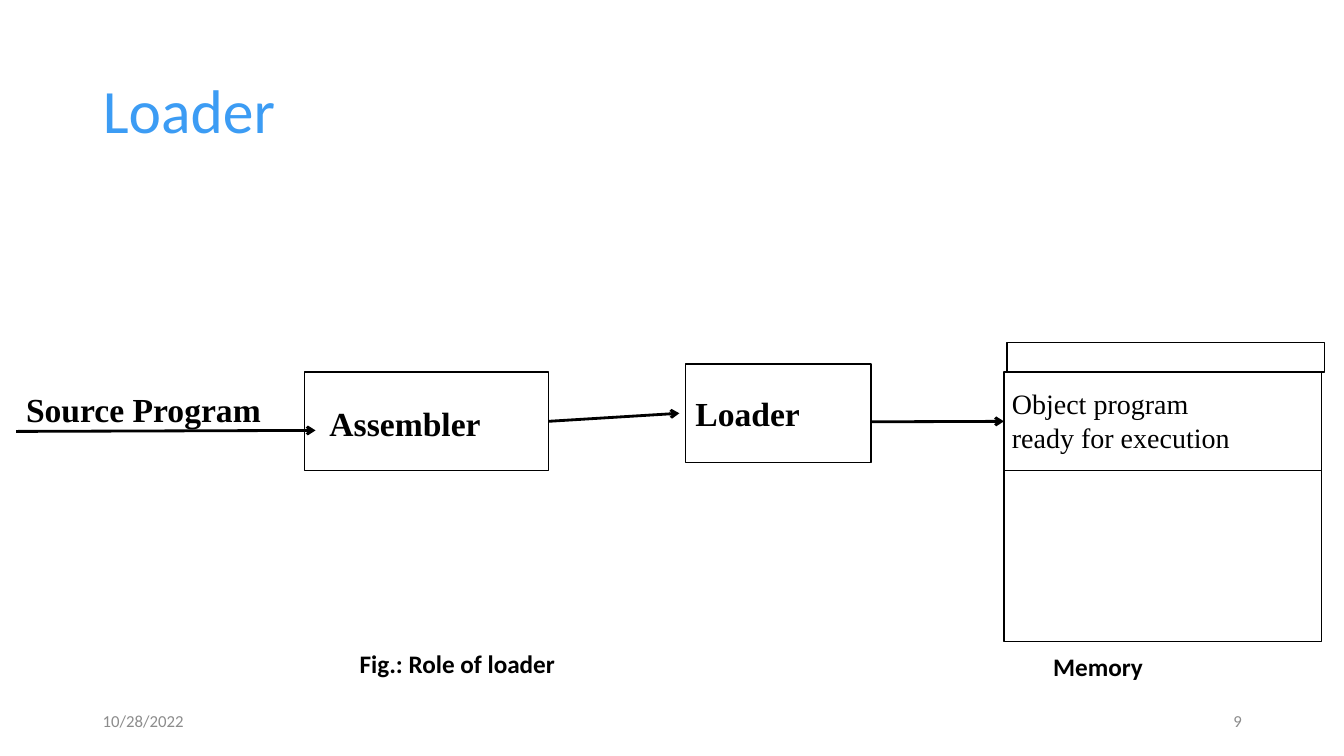
import pptx
import pptx.util
import pptx.dml.color
import pptx.enum.shapes
import pptx.enum.text
import pptx.oxml
import pptx.oxml.ns

SLIDE_WIDTH = pptx.util.Inches(13.333)
SLIDE_HEIGHT = pptx.util.Inches(7.5)

BLACK = pptx.dml.color.RGBColor(0x00, 0x00, 0x00)
BLUE = pptx.dml.color.RGBColor(0x3C, 0x9C, 0xF4)
GRAY = pptx.dml.color.RGBColor(0x8C, 0x8C, 0x8C)

TITLE = {"name": "Calibri", "size": pptx.util.Pt(44), "bold": False}
STAGE = {"name": "Times New Roman", "size": pptx.util.Pt(24), "bold": True}
CONTENT = {"name": "Times New Roman", "size": pptx.util.Pt(20), "bold": False}
CAPTION = {"name": "Calibri", "size": pptx.util.Pt(18), "bold": True}
FOOTER = {"name": "Calibri", "size": pptx.util.Pt(12), "bold": False}

LEFT = pptx.enum.text.PP_ALIGN.LEFT
RIGHT = pptx.enum.text.PP_ALIGN.RIGHT
TOP = pptx.enum.text.MSO_ANCHOR.TOP
MIDDLE = pptx.enum.text.MSO_ANCHOR.MIDDLE

# Shared positions, in percent of the slide's width or height
BOX_HEIGHT = 13.07
ASSEMBLER_TOP = 49.2
ASSEMBLER_MIDDLE = ASSEMBLER_TOP + BOX_HEIGHT / 2
LOADER_LEFT, LOADER_TOP, LOADER_WIDTH = 51, 48.13, 13.8
MEMORY_LEFT, MEMORY_WIDTH = 74.7, 23.62
FOOTER_TOP, FOOTER_WIDTH, FOOTER_HEIGHT = 92.67, 22.5, 5.33


def across(percent):
    return round(SLIDE_WIDTH * percent / 100)


def down(percent):
    return round(SLIDE_HEIGHT * percent / 100)


def area(left, top, width, height):
    """Turn percentages of the slide into lengths."""
    return across(left), down(top), across(width), down(height)


def set_values(target, values):
    for name, value in values.items():
        setattr(target, name, value)


def write(shape, lines, font_format, color=BLACK, alignment=LEFT, anchor=TOP):
    """Fill a shape with one formatted paragraph per line."""
    frame = shape.text_frame
    set_values(frame, {
        "word_wrap": True,
        "auto_size": pptx.enum.text.MSO_AUTO_SIZE.NONE,
        "vertical_anchor": anchor,
        "text": "\n".join(lines),
    })
    for paragraph in frame.paragraphs:
        paragraph.alignment = alignment
        set_values(paragraph.font, font_format)
        paragraph.font.color.rgb = color


def add_title(slide, text):
    title = slide.shapes.title
    position = area(6.9, 5.33, 86.25, 19.33)
    set_values(title, dict(zip(("left", "top", "width", "height"), position)))
    write(title, [text], TITLE, BLUE, anchor=MIDDLE)
    title.text_frame.paragraphs[0].line_spacing = 0.9


def add_label(slide, position, lines, font_format, **options):
    write(slide.shapes.add_textbox(*area(*position)), lines, font_format, **options)


def add_box(slide, *position):
    box = slide.shapes.add_shape(
        pptx.enum.shapes.MSO_SHAPE.RECTANGLE, *area(*position))
    box.shadow.inherit = False
    box.fill.background()
    box.line.color.rgb = BLACK
    box.line.width = pptx.util.Pt(1)
    return box


def add_arrow(slide, start, end):
    arrow = slide.shapes.add_connector(
        pptx.enum.shapes.MSO_CONNECTOR.STRAIGHT,
        across(start[0]), down(start[1]), across(end[0]), down(end[1]))
    arrow.line.color.rgb = BLACK
    arrow.line.width = pptx.util.Pt(2)
    head = pptx.oxml.parse_xml(
        f'<a:tailEnd {pptx.oxml.ns.nsdecls("a")} type="arrow"/>')
    arrow.line._get_or_add_ln().append(head)
    effects = pptx.oxml.parse_xml(f'<a:effectLst {pptx.oxml.ns.nsdecls("a")}/>')
    arrow._element.spPr.append(effects)
    return arrow


def add_flow(slide):
    assembler = add_box(slide, 22.65, ASSEMBLER_TOP, 18.15, BOX_HEIGHT)
    add_box(slide, LOADER_LEFT, LOADER_TOP, LOADER_WIDTH, BOX_HEIGHT)
    program = add_box(slide, MEMORY_LEFT, ASSEMBLER_TOP, MEMORY_WIDTH, BOX_HEIGHT)
    add_box(slide, 74.92, 45.33, MEMORY_WIDTH, 3.87)
    add_box(slide, MEMORY_LEFT, ASSEMBLER_TOP + BOX_HEIGHT, MEMORY_WIDTH, 22.6)

    add_arrow(slide, (1.2, 57.07), (23.48, 56.93))
    to_loader = add_arrow(slide, (40.8, ASSEMBLER_MIDDLE), (50.55, 54.67))
    to_loader.begin_connect(assembler, 3)
    to_memory = add_arrow(
        slide, (LOADER_LEFT + LOADER_WIDTH, 55.8), (MEMORY_LEFT, ASSEMBLER_MIDDLE))
    to_memory.end_connect(program, 1)

    add_label(slide, (1.2, 50.8, 22.28, 6.67), ["Source Program"], STAGE)
    add_label(slide, (23.78, 52.67, 18.52, 6.67), ["Assembler"], STAGE)
    add_label(slide, (LOADER_LEFT, 51.33, LOADER_WIDTH, 6.67), ["Loader"], STAGE)
    add_label(slide, (74.55, 50.53, 25.4, 10.27),
              ["Object program", "ready for execution"], CONTENT)
    add_label(slide, (26.02, 85.07, 31.88, 5.33), ["Fig.: Role of loader"], CAPTION)
    add_label(slide, (77.62, 85.47, 17.78, 5.33), ["Memory"], CAPTION)


def add_footer(slide, date, number):
    for left, text, alignment in ((6.9, date, LEFT), (70.65, number, RIGHT)):
        add_label(slide, (left, FOOTER_TOP, FOOTER_WIDTH, FOOTER_HEIGHT), [text],
                  FOOTER, color=GRAY, alignment=alignment, anchor=MIDDLE)


def main():
    presentation = pptx.Presentation()
    presentation.slide_width = SLIDE_WIDTH
    presentation.slide_height = SLIDE_HEIGHT
    title_only = presentation.slide_layouts.get_by_name("Title Only")
    slide = presentation.slides.add_slide(title_only)
    add_title(slide, "Loader")
    add_flow(slide)
    add_footer(slide, "10/28/2022", "9")
    presentation.save("out.pptx")


if __name__ == "__main__":
    main()
